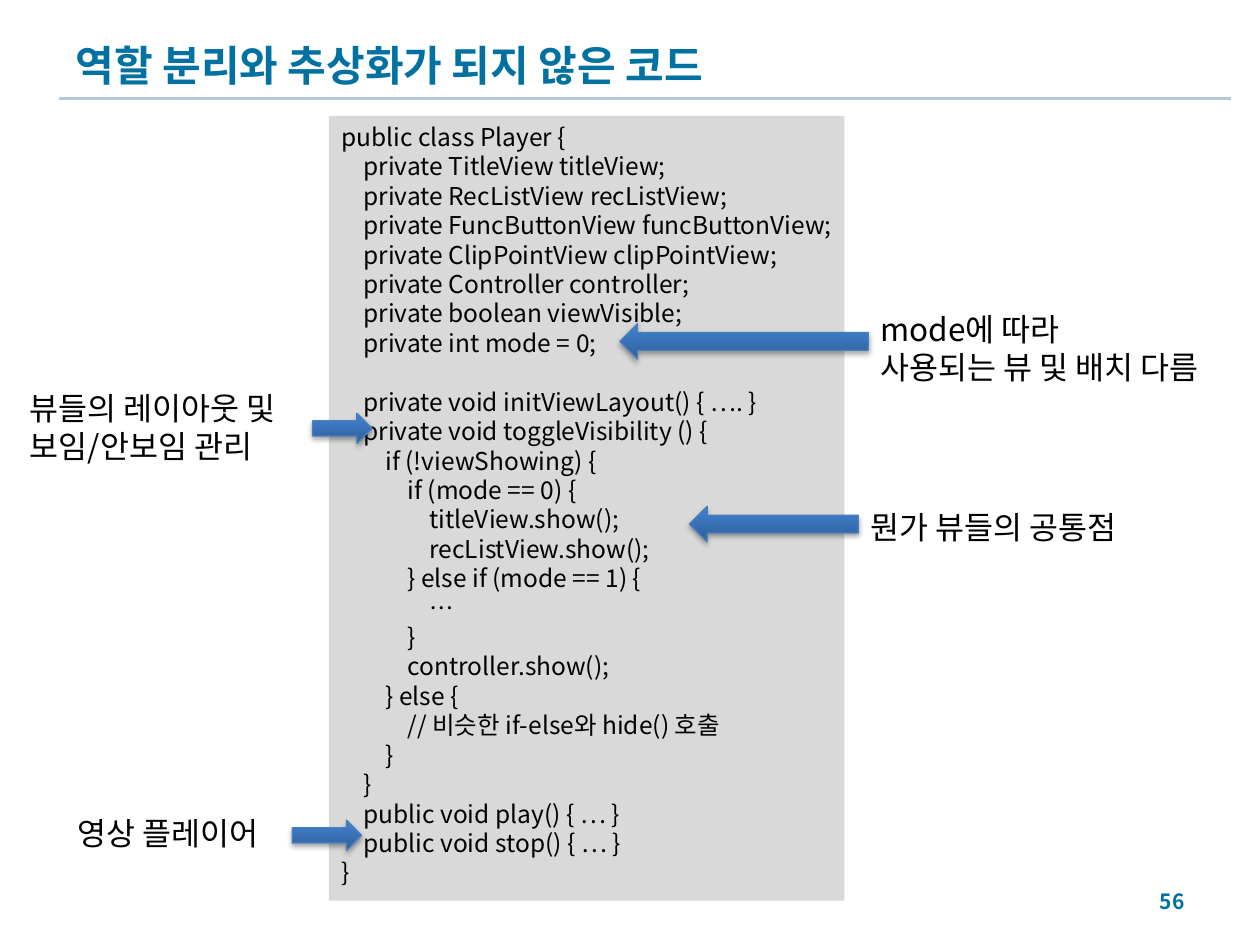
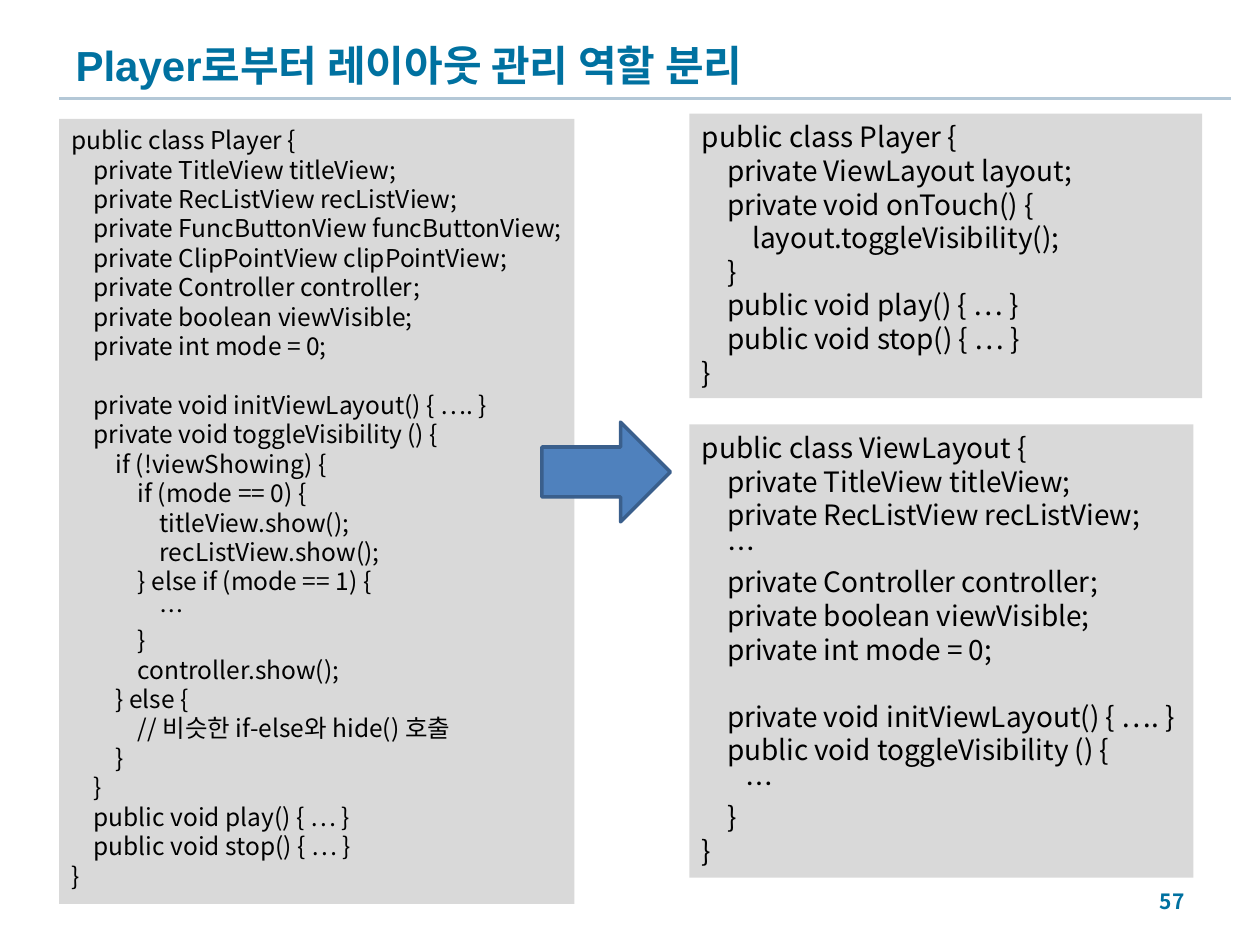
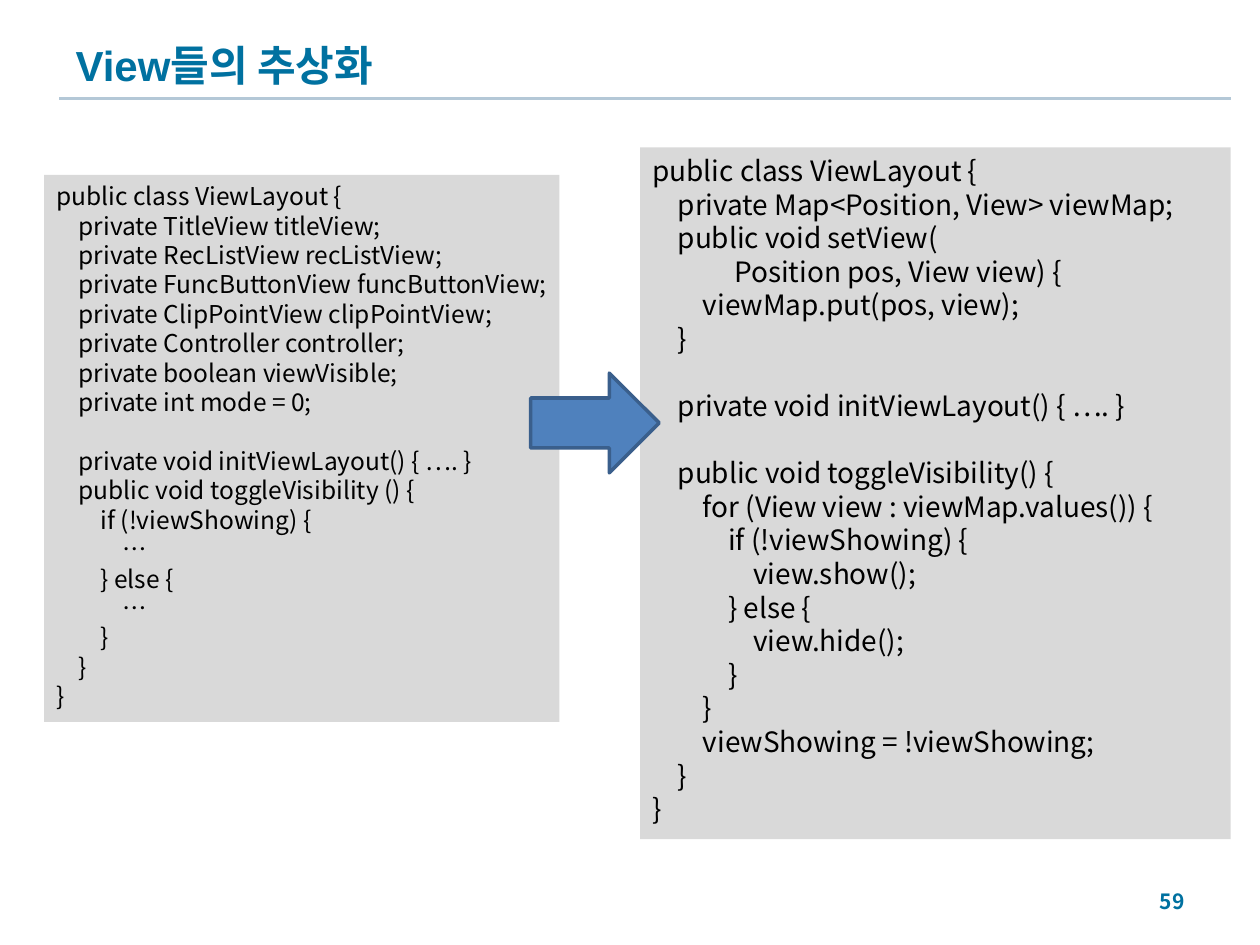
import lxml.etree
import pptx
import pptx.dml.color
import pptx.enum.shapes
import pptx.enum.text
import pptx.oxml
import pptx.oxml.ns
import pptx.util

Pt = pptx.util.Pt
qn = pptx.oxml.ns.qn
MSO = pptx.enum.shapes.MSO_SHAPE
ANCHOR = pptx.enum.text.MSO_ANCHOR
ALIGN = pptx.enum.text.PP_ALIGN

FONT = "Noto Sans CJK KR"
BLUE = "0071A0"
GREY = "D9D9D9"
LINE_HEIGHT = 1.2
SPACE_WIDTH = 0.225

FIELDS = """    private TitleView titleView;
    private RecListView recListView;
    private FuncButtonView funcButtonView;
    private ClipPointView clipPointView;
    private Controller controller;
    private boolean viewVisible;
    private int mode = 0;

    private void initViewLayout() { …. }
"""

PLAYER = "public class Player {\n" + FIELDS + """    private void toggleVisibility () {
        if (!viewShowing) {
            if (mode == 0) {
                titleView.show();
                recListView.show();
            } else if (mode == 1) {
                …
            }
            controller.show();
        } else {
            // 비슷한 if-else와 hide() 호출
        }
    }
    public void play() { … }
    public void stop() { … }
}"""

SLIM_PLAYER = """public class Player {
    private ViewLayout layout;
    private void onTouch() {
        layout.toggleVisibility();
    }
    public void play() { … }
    public void stop() { … }
}"""

SHORT_LAYOUT = """public class ViewLayout {
    private TitleView titleView;
    private RecListView recListView;
    …
    private Controller controller;
    private boolean viewVisible;
    private int mode = 0;

    private void initViewLayout() { …. }
    public void toggleVisibility () {
       …
    }
}"""

LAYOUT = "public class ViewLayout {\n" + FIELDS + """    public void toggleVisibility () {
        if (!viewShowing) {
            …
        } else {
            …
        }
    }
}"""

MAP_LAYOUT = """public class ViewLayout {
    private Map<Position, View> viewMap;
    public void setView(
             Position pos, View view) {
        viewMap.put(pos, view);
    }

    private void initViewLayout() { …. }

    public void toggleVisibility() {
        for (View view : viewMap.values()) {
            if (!viewShowing) {
                view.show();
            } else {
                view.hide();
            }
        }
        viewShowing = !viewShowing;
    }
}"""

SHADOW = """<a:effectLst xmlns:a="http://schemas.openxmlformats.org/drawingml/2006/main">
<a:outerShdw blurRad="39370" dist="22860" dir="5400000" rotWithShape="0">
<a:srgbClr val="000000"><a:alpha val="35000"/></a:srgbClr></a:outerShdw></a:effectLst>"""


def rgb(value):
    return pptx.dml.color.RGBColor.from_string(value)


def add_text(s, box, text, size, color="000000", bold=False, fill=None):
    sp = s.shapes.add_textbox(*map(Pt, box))
    if fill:
        sp.fill.solid()
        sp.fill.fore_color.rgb = rgb(fill)
    tf = sp.text_frame
    tf.word_wrap = True
    tf.margin_right = 0
    p, gap = tf.paragraphs[0], 0
    for line in text.splitlines():
        code = line.lstrip()
        if not code:
            gap += size * LINE_HEIGHT
            continue
        if p.runs:
            p = tf.add_paragraph()
        indent = (len(line) - len(code)) * SPACE_WIDTH * size
        p._p.get_or_add_pPr().set("marL", str(Pt(indent)))
        p.line_spacing = Pt(size * LINE_HEIGHT)
        p.space_before = Pt(gap)
        gap = 0
        r = p.add_run()
        r.text = code
        for key, value in {"name": FONT, "size": Pt(size), "bold": bold}.items():
            setattr(r.font, key, value)
        r.font.color.rgb = rgb(color)
        lxml.etree.SubElement(r._r.get_or_add_rPr(), qn("a:ea"), typeface=FONT)
    return sp


prs = pptx.Presentation()
prs.slide_width, prs.slide_height = Pt(720), Pt(540)
layout = prs.slide_layouts[5]
for key, value in {"left": 36, "top": 16.5, "width": 648, "height": 40.5}.items():
    setattr(layout.placeholders[0], key, Pt(value))

slides = []
for title, number in [("역할 분리와 추상화가 되지 않은 코드", "56"),
                      ("Player로부터 레이아웃 관리 역할 분리", "57"),
                      ("View들의 추상화", "59")]:
    s = prs.slides.add_slide(layout)
    tf = s.shapes.title.text_frame
    tf.text = title
    tf.auto_size = pptx.enum.text.MSO_AUTO_SIZE.NONE
    tf.vertical_anchor = ANCHOR.MIDDLE
    p = tf.paragraphs[0]
    p.alignment = ALIGN.LEFT
    font = p.runs[0].font
    for key, value in {"name": "Arial", "size": Pt(24), "bold": True}.items():
        setattr(font, key, value)
    font.color.rgb = rgb(BLUE)
    tf = add_text(s, (516, 500.5, 168, 29), number, 12, BLUE, True).text_frame
    tf.margin_right = Pt(7.2)
    tf.vertical_anchor = ANCHOR.MIDDLE
    tf.paragraphs[0].alignment = ALIGN.RIGHT
    slides.append(s)

rule = slides[0].shapes.add_connector(
    pptx.enum.shapes.MSO_CONNECTOR.STRAIGHT, Pt(34), Pt(56.2), Pt(703.5), Pt(56.2))
rule.line.color.rgb = rgb("B4C8D7")
rule.line.width = Pt(1.5)
lxml.etree.SubElement(rule._element.spPr, qn("a:effectLst"))
layout.shapes._spTree.append(rule._element)

for i, box, code, size in [
    (0, (188, 66.2, 294.5, 448.5), PLAYER, 14),
    (1, (33.8, 68, 294.5, 448.5), PLAYER, 14),
    (1, (394, 65, 293, 162.5), SLIM_PLAYER, 16),
    (1, (394, 242.5, 288, 259), SHORT_LAYOUT, 16),
    (2, (365.8, 84.2, 337.5, 395.3), MAP_LAYOUT, 16),
    (2, (25.2, 100, 294.5, 312.5), LAYOUT, 14),
]:
    add_text(slides[i], box, code, size, fill=GREY)

for box, label in [
    ((37.5, 461.5, 130, 29), "영상 플레이어"),
    ((10, 219, 173, 51), "뷰들의 레이아웃 및\n보임/안보임 관리"),
    ((490.3, 286.5, 173, 29), "뭔가 뷰들의 공통점"),
    ((496, 173.5, 222, 51), "mode에 따라\n사용되는 뷰 및 배치 다름"),
]:
    add_text(slides[0], box, label, 18)

for kind, box in [
    (MSO.RIGHT_ARROW, (178.6, 236.2, 34, 17.3)),
    (MSO.RIGHT_ARROW, (167, 468.7, 39.6, 17.3)),
    (MSO.LEFT_ARROW, (394, 289.4, 96.5, 20.2)),
    (MSO.LEFT_ARROW, (354.2, 185, 142, 20.2)),
]:
    sp = slides[0].shapes.add_shape(kind, *map(Pt, box))
    sp.fill.gradient()
    sp.fill.gradient_angle = 90
    for stop, (position, color) in zip(sp.fill.gradient_stops, [(0, "2F5F99"), (0.8, "3D7CC7")]):
        stop.position = position
        stop.color.rgb = rgb(color)
    sp.line.color.rgb = rgb("4B7EBC")
    sp.line.width = Pt(0.75)
    sp._element.spPr.append(pptx.oxml.parse_xml(SHADOW))

for s, left, top in [(slides[1], 309.6, 241.2), (slides[2], 303.2, 213.2)]:
    sp = s.shapes.add_shape(MSO.RIGHT_ARROW, Pt(left), Pt(top), Pt(73.5), Pt(57))
    sp.shadow.inherit = False
    sp.fill.solid()
    sp.fill.fore_color.rgb = rgb("4F81BD")
    sp.line.color.rgb = rgb("3A5F8C")
    sp.line.width = Pt(2)

prs.save("out.pptx")
